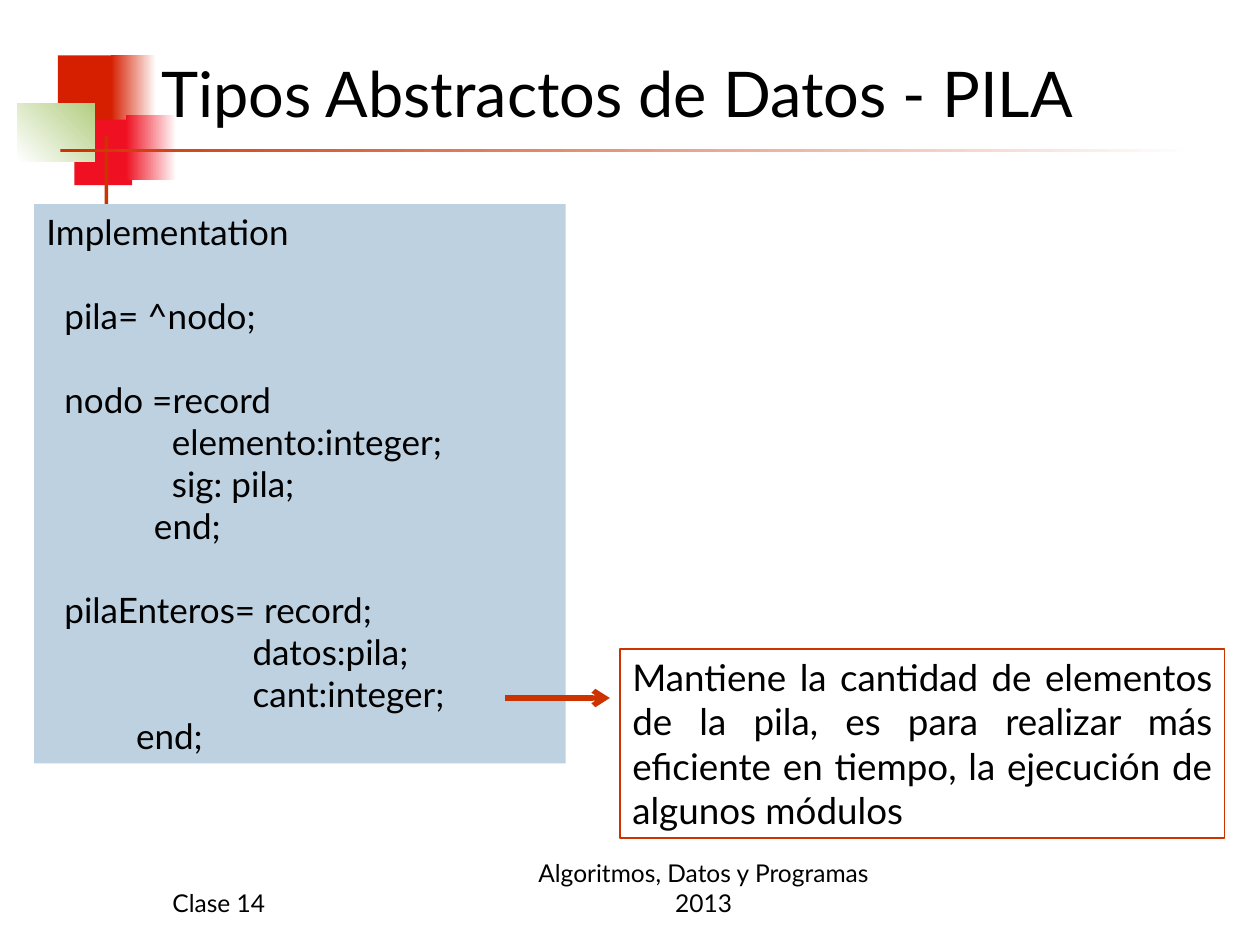
from pptx import Presentation
from pptx import util as u
from pptx.dml.color import RGBColor
from pptx.enum import shapes, text
from pptx.oxml import parse_xml
from pptx.oxml.ns import nsdecls

COLORS = {
    "ink": "000000",
    "paper": "FFFFFF",
    "brick": "D61F00",
    "red": "EF1121",
    "green": "B3CE82",
    "rust": "CC3300",
    "code": "BED1E0",
}
LINE_PITCH = 1.2  # line height of the font, in text sizes

CODE = """Implementation

  pila= ^nodo;

  nodo =record
              elemento:integer;
              sig: pila;
            end;

  pilaEnteros= record;
                       datos:pila;
                       cant:integer;
          end;"""


def color(name):
    return RGBColor.from_string(COLORS[name])


def write(box, content, size, align=text.PP_ALIGN.LEFT,
          anchor=text.MSO_ANCHOR.TOP, font="Lato", ink="ink"):
    """Write one paragraph per line; an empty line becomes space before the next."""
    frame = box.text_frame
    frame.word_wrap = True
    frame.auto_size = text.MSO_AUTO_SIZE.NONE
    frame.vertical_anchor = anchor
    para, gap = None, 0
    for line in content.split("\n"):
        if not line:
            gap += size * LINE_PITCH
            continue
        para = frame.add_paragraph() if para else frame.paragraphs[0]
        para.alignment = align
        para.space_before = u.Pt(gap)
        span = para.add_run()
        span.text = line
        span.font.size = u.Pt(size)
        span.font.name = font
        span.font.color.rgb = color(ink)
        gap = 0


class Slide:
    """The page and its style; lengths are columns and rows of a 10 x 7.5 grid."""

    def __init__(self, deck, columns=10, rows=7.5):
        self.page = deck.slides.add_slide(deck.slide_layouts[5])
        self.column = deck.slide_width / columns
        self.row = deck.slide_height / rows

    def place(self, left, top, width, height):
        return (round(left * self.column), round(top * self.row),
                round(width * self.column), round(height * self.row))

    def block(self, *area, fill=None, fade=None, angle=0, line=None):
        box = self.page.shapes.add_shape(
            shapes.MSO_SHAPE.RECTANGLE, *self.place(*area))
        box.shadow.inherit = False
        if fade:
            box.fill.gradient()
            box.fill.gradient_angle = angle
            for stop, name in zip(box.fill.gradient_stops, fade):
                stop.color.rgb = color(name)
        elif fill:
            box.fill.solid()
            box.fill.fore_color.rgb = color(fill)
        else:
            box.fill.background()
        if line:
            box.line.color.rgb = color(line)
            box.line.width = u.Pt(1)
        else:
            box.line.fill.background()
        return box

    def label(self, content, *area, **style):
        box = self.page.shapes.add_textbox(*self.place(*area))
        write(box, content, **style)

    def title(self, content, *area, **style):
        box = self.page.shapes.title
        box.left, box.top, box.width, box.height = self.place(*area)
        write(box, content, **style)
        tree = box.element.getparent()
        tree.append(box.element)  # in front of the ornament

    def arrow(self, left, top, right, bottom, stroke="rust", width=3):
        line = self.page.shapes.add_connector(
            shapes.MSO_CONNECTOR.STRAIGHT, *self.place(left, top, right, bottom))
        line.line.color.rgb = color(stroke)
        line.line.width = u.Pt(width)
        line.line._get_or_add_ln().append(
            parse_xml(f'<a:tailEnd {nsdecls("a")} type="arrow"/>'))
        line.element.spPr.append(parse_xml(f'<a:effectLst {nsdecls("a")}/>'))


def main():
    deck = Presentation()
    deck.slide_width, deck.slide_height = u.Inches(10), u.Inches(7.5)
    slide = Slide(deck)
    bottom = text.MSO_ANCHOR.BOTTOM
    justify = text.PP_ALIGN.JUSTIFY

    # Ornament: coloured squares and two rules
    slide.block(0.46, 0.44, 0.48, 0.52, fill="brick")
    slide.block(0.88, 0.44, 0.36, 0.52, fade=("brick", "paper"))
    slide.block(0.59, 0.95, 0.46, 0.52, fill="red")
    slide.block(1, 0.91, 0.4, 0.52, fade=("red", "paper"))
    slide.block(0.14, 0.82, 0.61, 0.46, fade=("paper", "green"), angle=45)
    slide.block(0.83, 1.08, 0.03, 1.15, fill="rust")
    slide.block(0.48, 1.18, 9, 0.03, fade=("rust", "paper"))

    # Type declarations
    code = slide.block(0.27, 1.62, 4.22, 4.44, fill="code")
    write(code, CODE, size=20, align=justify)

    # Remark on the counter field
    slide.arrow(4.01, 5.54, 4.84, 5.54)
    remark = slide.block(4.92, 5.15, 4.8, 1.5, line="rust")
    write(remark, "Mantiene la cantidad de elementos de la pila, es para realizar "
          "más eficiente en tiempo, la ejecución de algunos módulos",
          size=21, align=justify)

    # Title and footer
    slide.title("Tipos Abstractos de Datos - PILA", 1.18, 0.21, 7.76, 0.87,
                size=36, anchor=bottom)
    slide.label("Clase 14", 1.27, 6.83, 2.08, 0.5, size=14, anchor=bottom)
    slide.label("Algoritmos, Datos y Programas 2013", 4, 6.83, 3.17, 0.5,
                size=14, anchor=bottom, align=text.PP_ALIGN.CENTER)

    deck.save("out.pptx")


if __name__ == "__main__":
    main()
